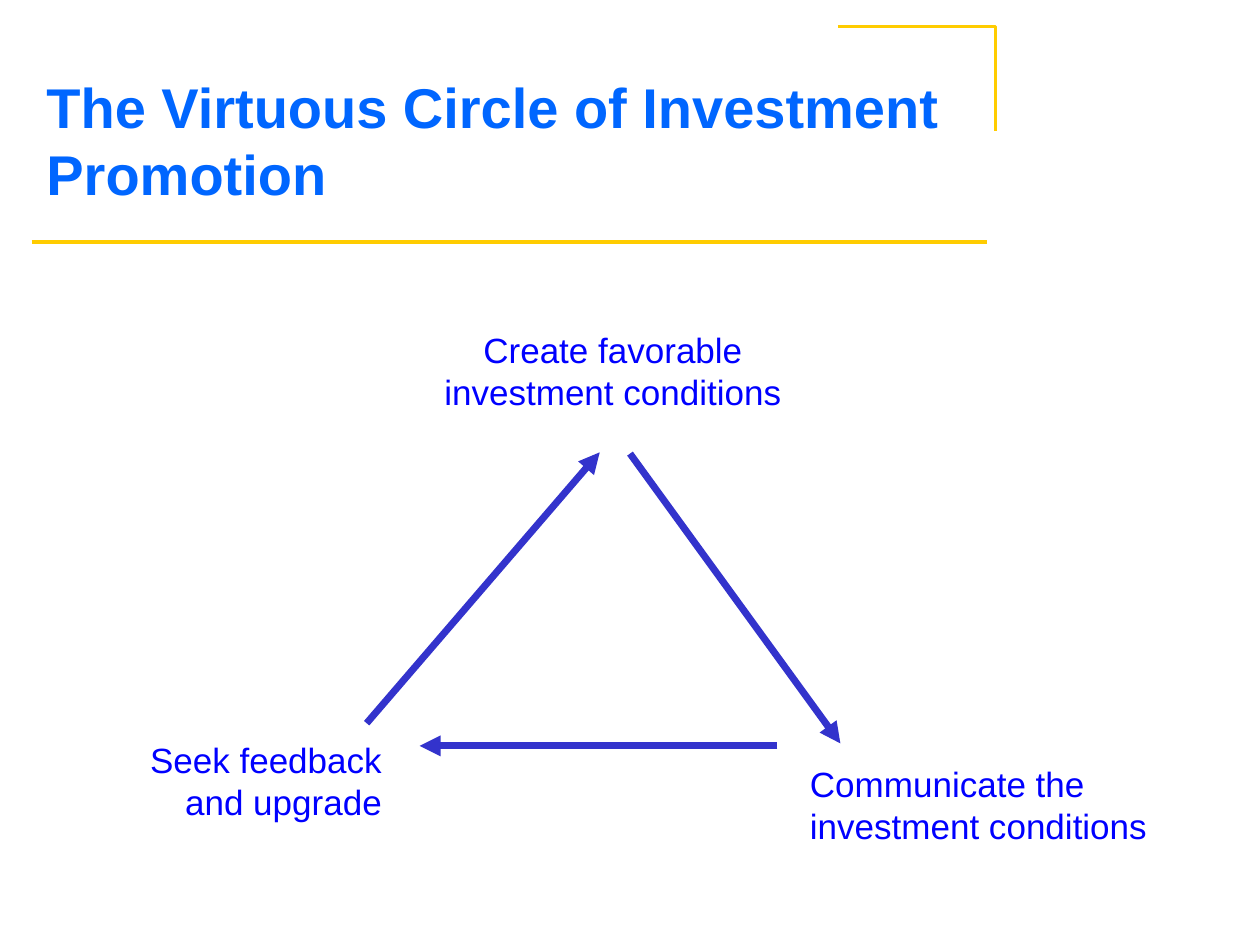
from dataclasses import dataclass

from lxml.etree import SubElement
from pptx import Presentation
from pptx.dml.color import RGBColor
from pptx.enum.shapes import MSO_CONNECTOR
from pptx.enum.text import MSO_ANCHOR, PP_ALIGN as Align
from pptx.oxml.ns import qn
from pptx.util import Inches, Pt


@dataclass(frozen=True)
class Theme:
    font: str = "Arial"
    title_color: RGBColor = RGBColor(0x00, 0x66, 0xFF)
    label_color: RGBColor = RGBColor(0x00, 0x00, 0xFF)
    arrow_color: RGBColor = RGBColor(0x33, 0x33, 0xCC)
    rule_color: RGBColor = RGBColor(0xFF, 0xCC, 0x00)
    title_size: int = 32
    label_size: int = 20
    arrow_width: int = 4
    rule_width: int = 2


@dataclass(frozen=True)
class Label:
    lines: tuple[str, ...]
    left: float
    top: float
    width: float
    align: Align


Point = tuple[float, float]
THEME = Theme()
LABEL_HEIGHT = 0.77

LABELS = (
    Label(("Create favorable", "investment conditions"), 3.38, 2.56, 2.97, Align.CENTER),
    Label(("Communicate the", "investment conditions"), 6.33, 6, 2.97, Align.LEFT),
    Label(("Seek feedback", "and upgrade"), 0.99, 5.81, 2.14, Align.RIGHT),
)
ARROWS: tuple[tuple[Point, Point], ...] = (
    ((5, 3.6), (6.67, 5.9)),
    ((6.17, 5.92), (3.33, 5.92)),
    ((2.91, 5.74), (4.76, 3.59)),
)


def add_text(s, lines: tuple[str, ...], left: float, top: float, width: float,
             height: float, *, size: int, color: RGBColor, bold: bool = False,
             align: Align = Align.LEFT, anchor: MSO_ANCHOR = MSO_ANCHOR.TOP) -> None:
    """Add a text box with one paragraph per line."""
    box = s.shapes.add_textbox(Inches(left), Inches(top), Inches(width), Inches(height))
    tf = box.text_frame
    tf.word_wrap = True
    tf.vertical_anchor = anchor
    for i, line in enumerate(lines):
        p = tf.add_paragraph() if i else tf.paragraphs[0]
        p.alignment = align
        r = p.add_run()
        r.text = line
        r.font.name = THEME.font
        r.font.size = Pt(size)
        r.font.bold = bold
        r.font.color.rgb = color


def add_line(s, start: Point, end: Point, color: RGBColor, width: int,
             arrow: bool = False) -> None:
    line = s.shapes.add_connector(MSO_CONNECTOR.STRAIGHT,
                                  *(Inches(v) for v in (*start, *end)))
    line.line.color.rgb = color
    line.line.width = Pt(width)
    if arrow:
        SubElement(line.line._get_or_add_ln(), qn("a:tailEnd"), type="triangle")
    SubElement(line._element.spPr, qn("a:effectLst"))


def add_corner(s, left: float, top: float, width: float, height: float) -> None:
    """Draw the open bracket at the top right of the title."""
    right = Inches(left + width)
    builder = s.shapes.build_freeform(Inches(left), Inches(top))
    builder.add_line_segments([(right, Inches(top)), (right, Inches(top + height))],
                              close=False)
    sp = builder.convert_to_shape()
    sp.shadow.inherit = False
    sp.fill.background()
    sp.line.color.rgb = THEME.rule_color
    sp.line.width = Pt(THEME.rule_width)


def main() -> None:
    prs = Presentation()
    prs.slide_width, prs.slide_height = Inches(10), Inches(7.5)
    s = prs.slides.add_slide(prs.slide_layouts[6])

    add_line(s, (0.25, 1.92), (7.83, 1.92), THEME.rule_color, THEME.rule_width)
    add_corner(s, 6.65, 0.21, 1.25, 0.83)
    for start, end in ARROWS:
        add_line(s, start, end, THEME.arrow_color, THEME.arrow_width, arrow=True)
    for label in LABELS:
        add_text(s, label.lines, label.left, label.top, label.width, LABEL_HEIGHT,
                 size=THEME.label_size, color=THEME.label_color, align=label.align)
    add_text(s, ("The Virtuous Circle of Investment Promotion",), 0.27, 0.36, 7.48, 1.5,
             size=THEME.title_size, color=THEME.title_color, bold=True,
             anchor=MSO_ANCHOR.MIDDLE)
    prs.save("out.pptx")


if __name__ == "__main__":
    main()
